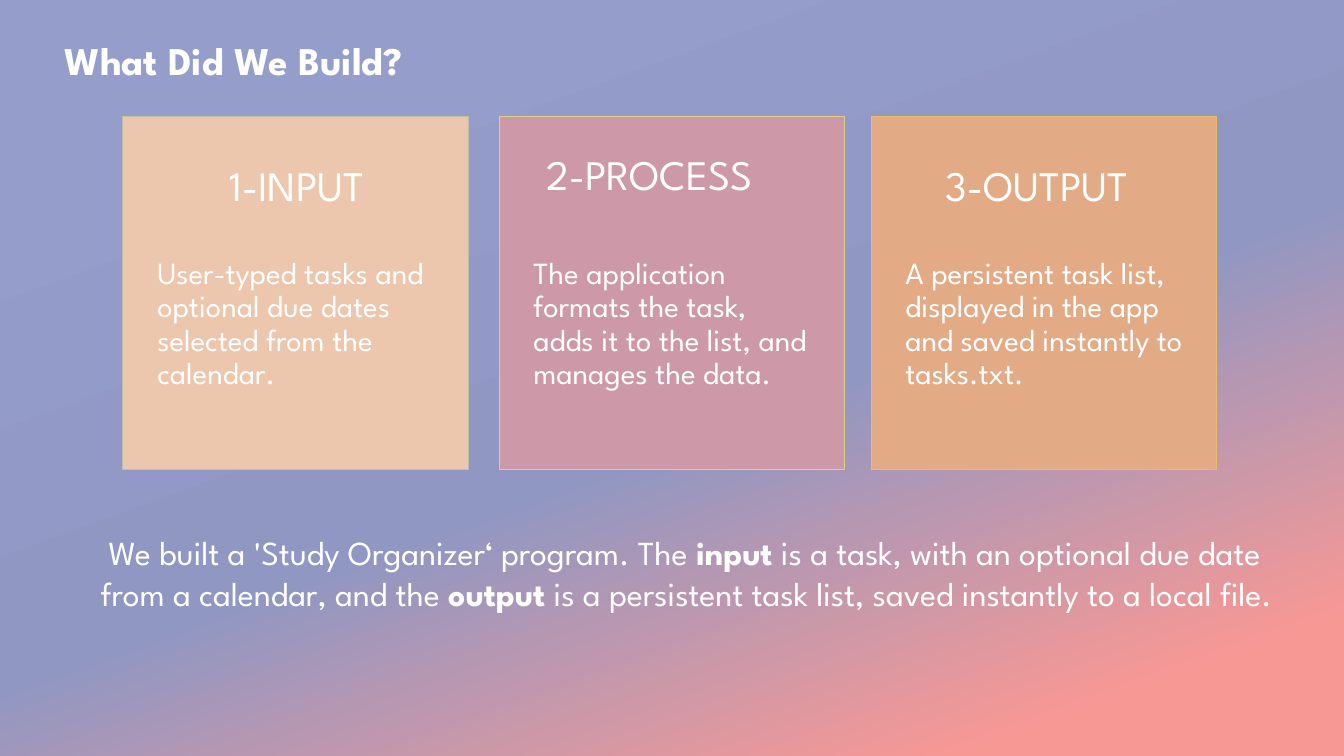
from lxml.etree import SubElement
from pptx import Presentation
from pptx.dml.color import RGBColor
from pptx.enum.shapes import MSO_SHAPE
from pptx.enum.text import MSO_ANCHOR, MSO_AUTO_SIZE, PP_ALIGN
from pptx.oxml.ns import qn
from pptx.util import Inches, Pt

FONT = "League Spartan"
COLORS = {
    "text": "FFFFFF",
    "sky": "959DCB",
    "dusk": "9097C3",
    "coral": "F89894",
    "input": "ECC6AD",
    "input_edge": "BFBFA5",
    "process": "CD98A8",
    "process_edge": "DCD084",
    "output": "E2AA85",
    "output_edge": "E7BF5F",
}
BACKGROUND_STOPS = [(14, "sky"), (55, "dusk"), (89, "coral")]
CARD_TOP, CARD_WIDTH, CARD_HEIGHT = 1.16, 3.43, 3.5
HEADING_HEIGHT = 1.4
CARDS = [
    ("input", 1.22, "1-INPUT", (1.23, CARD_WIDTH, HEADING_HEIGHT), PP_ALIGN.CENTER,
     "User-typed tasks and optional due dates selected from the calendar."),
    ("process", 4.95, "2-PROCESS", (5.08, 3.01, 1.19), PP_ALIGN.LEFT,
     "The application formats the task, adds it to the list, and manages the data."),
    ("output", 8.64, "3-OUTPUT", (8.57, CARD_WIDTH, HEADING_HEIGHT), PP_ALIGN.CENTER,
     "A persistent task list, displayed in the app and saved instantly to tasks.txt."),
]
SUMMARY = [
    ("We built a 'Study Organizer‘ program. The ", False),
    ("input", True),
    (" is a task, with an optional due date from a calendar, and the ", False),
    ("output", True),
    (" is a persistent task list, saved instantly to a local file.", False),
]


def rgb(name):
    return RGBColor.from_string(COLORS[name])


def paint_background(slide):
    fill = slide.background.fill
    fill.gradient()
    fill.gradient_angle = 290
    stops = slide.background._cSld.find(".//" + qn("a:gsLst"))
    for stop in list(stops):
        stops.remove(stop)
    for percent, color in BACKGROUND_STOPS:
        stop = SubElement(stops, qn("a:gs"), pos=str(percent * 1000))
        SubElement(stop, qn("a:srgbClr"), val=COLORS[color])


def add_run(paragraph, text, size, bold=False):
    run = paragraph.add_run()
    run.text = text
    run.font.name = FONT
    run.font.size = Pt(size)
    run.font.bold = bold
    run.font.color.rgb = rgb("text")


def set_insets(frame, side, top, bottom):
    frame.margin_left = frame.margin_right = Inches(side)
    frame.margin_top, frame.margin_bottom = Inches(top), Inches(bottom)


def add_text_frame(slide, left, top, width, height):
    box = slide.shapes.add_textbox(Inches(left), Inches(top), Inches(width), Inches(height))
    box.text_frame.word_wrap = True
    return box.text_frame


def add_card(slide, color, left, heading, heading_box, alignment, description):
    panel = slide.shapes.add_shape(MSO_SHAPE.RECTANGLE, Inches(left), Inches(CARD_TOP),
                                   Inches(CARD_WIDTH), Inches(CARD_HEIGHT))
    panel.shadow.inherit = False
    panel.fill.solid()
    panel.fill.fore_color.rgb = rgb(color)
    panel.line.color.rgb = rgb(color + "_edge")
    panel.line.width = Pt(0.75)

    body = add_text_frame(slide, left, CARD_TOP + HEADING_HEIGHT,
                          CARD_WIDTH, CARD_HEIGHT - HEADING_HEIGHT)
    set_insets(body, 0.34, 0, 0.36)
    body.paragraphs[0].line_spacing = 0.9
    add_run(body.paragraphs[0], description, 22)

    heading_left, heading_width, heading_height = heading_box
    header = add_text_frame(slide, heading_left, CARD_TOP, heading_width, heading_height)
    set_insets(header, 0.34, 0.18, 0.18)
    header.vertical_anchor = MSO_ANCHOR.MIDDLE
    header.paragraphs[0].alignment = alignment
    header.paragraphs[0].line_spacing = 0.9
    add_run(header.paragraphs[0], heading, 30)


def add_title(slide, text):
    title = slide.shapes.title
    title.left, title.top = Inches(0.54), Inches(0.31)
    title.width, title.height = Inches(10.58), Inches(0.57)
    frame = title.text_frame
    frame.word_wrap = True
    frame.auto_size = MSO_AUTO_SIZE.SHAPE_TO_FIT_TEXT
    frame.vertical_anchor = MSO_ANCHOR.TOP
    frame.paragraphs[0].alignment = PP_ALIGN.LEFT
    add_run(frame.paragraphs[0], text, 28, bold=True)


def add_summary(slide):
    frame = add_text_frame(slide, 0.9, 5.23, 11.89, 1.31)
    frame.auto_size = MSO_AUTO_SIZE.SHAPE_TO_FIT_TEXT
    paragraph = frame.paragraphs[0]
    paragraph._p.get_or_add_pPr().set("indent", str(Inches(0.08)))
    for text, bold in SUMMARY:
        add_run(paragraph, text, 24, bold)


def main():
    presentation = Presentation()
    presentation.slide_width = Inches(13.33)
    presentation.slide_height = Inches(7.5)
    slide = presentation.slides.add_slide(presentation.slide_layouts[5])
    paint_background(slide)
    add_title(slide, "What Did We Build?")
    for card in CARDS:
        add_card(slide, *card)
    add_summary(slide)
    presentation.save("out.pptx")


if __name__ == "__main__":
    main()
